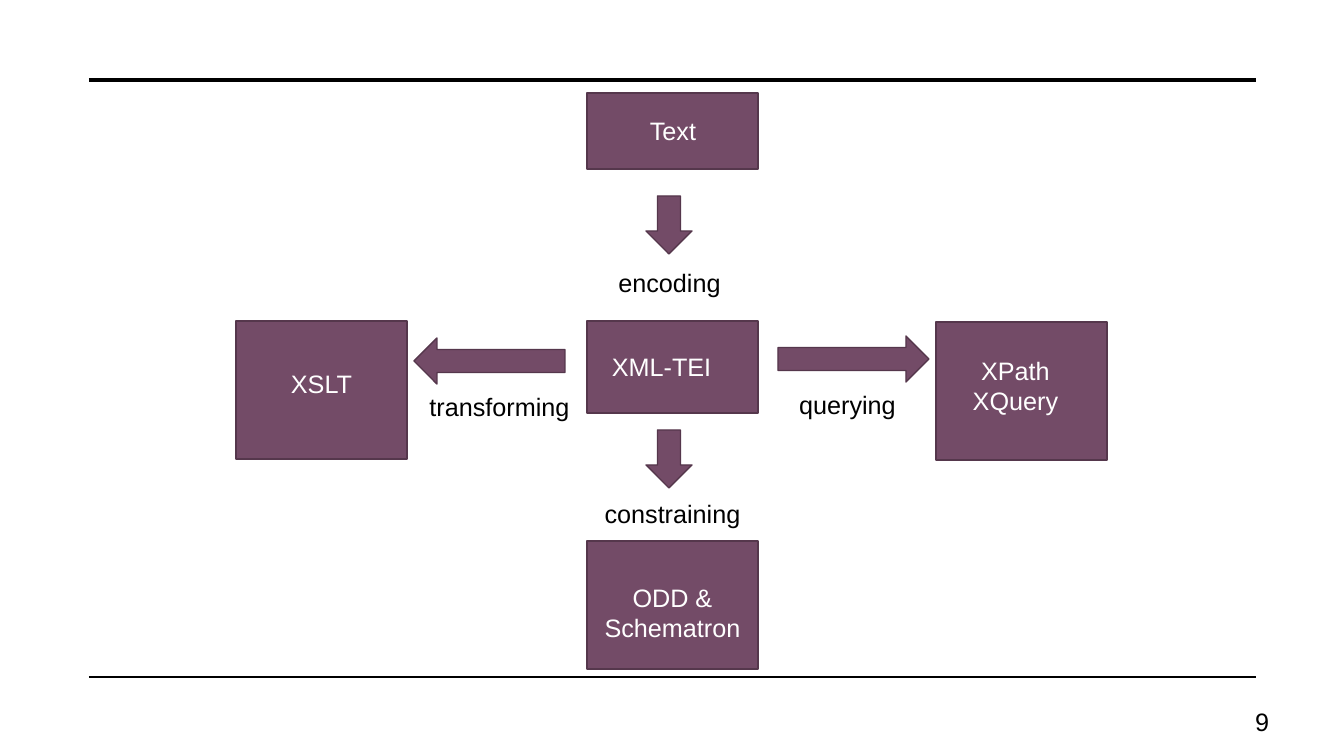
"""Build the slide that shows the XML-TEI workflow."""
from dataclasses import dataclass

from lxml.etree import SubElement
from pptx import Presentation
from pptx.dml.color import RGBColor
from pptx.enum.shapes import MSO_CONNECTOR, MSO_SHAPE
from pptx.enum.text import MSO_ANCHOR, PP_ALIGN
from pptx.oxml.ns import qn
from pptx.util import Emu, Pt

BLACK = RGBColor(0x00, 0x00, 0x00)
WHITE = RGBColor(0xFF, 0xFF, 0xFF)
PLUM = RGBColor(0x73, 0x4B, 0x67)
EDGE = RGBColor(0x55, 0x37, 0x4C)
WIDE, HIGH = 1344, 756
SCALE = 12192000 / WIDE


@dataclass(frozen=True)
class Area:
    """A place on the slide in px."""
    left: int
    top: int
    width: int
    height: int

    def emu(self) -> tuple[Emu, ...]:
        """Return the four lengths in EMU."""
        return tuple(map(px, (self.left, self.top, self.width, self.height)))


@dataclass(frozen=True)
class Label:
    """A text and its place."""
    text: str
    area: Area
    align: PP_ALIGN = PP_ALIGN.CENTER


@dataclass(frozen=True)
class Node:
    """A filled box with its label."""
    area: Area
    label: Label


@dataclass(frozen=True)
class Arrow:
    """A block arrow."""
    kind: MSO_SHAPE
    area: Area


@dataclass(frozen=True)
class Rule:
    """A line across the page."""
    top: int
    weight: float


RULES = [Rule(80, 3.5), Rule(677, 1)]
NODES = [
    Node(Area(587, 93, 171, 76), Label("Text", Area(598, 110, 150, 40))),
    Node(Area(587, 321, 171, 92),
         Label("XML-TEI", Area(602, 346, 147, 40), PP_ALIGN.LEFT)),
    Node(Area(236, 321, 171, 138), Label("XSLT", Area(255, 363, 133, 40))),
    Node(Area(936, 322, 171, 138),
         Label("XPath\vXQuery", Area(952, 350, 127, 72))),
    Node(Area(587, 541, 171, 128),
         Label("ODD & Schematron", Area(587, 577, 171, 100))),
]
ARROWS = [
    Arrow(MSO_SHAPE.DOWN_ARROW, Area(646, 196, 46, 58)),
    Arrow(MSO_SHAPE.DOWN_ARROW, Area(646, 430, 46, 58)),
    Arrow(MSO_SHAPE.LEFT_ARROW, Area(414, 338, 151, 46)),
    Arrow(MSO_SHAPE.RIGHT_ARROW, Area(778, 336, 151, 46)),
]
STEPS = [
    Label("encoding", Area(584, 262, 171, 40)),
    Label("transforming", Area(414, 386, 171, 40)),
    Label("querying", Area(765, 384, 165, 40)),
    Label("constraining", Area(587, 493, 171, 40)),
]
PAGE = Label("9", Area(1204, 701, 75, 40), PP_ALIGN.RIGHT)


def px(size: int) -> Emu:
    """Turn px into EMU."""
    return Emu(round(size * SCALE))


def draw_rule(shapes, rule: Rule) -> None:
    """Draw a line from margin to margin."""
    line = shapes.add_connector(MSO_CONNECTOR.STRAIGHT, px(89), px(rule.top),
                                px(1256), px(rule.top))
    line.line.color.rgb = BLACK
    line.line.width = Pt(rule.weight)
    SubElement(line._element.spPr, qn("a:effectLst"))


def draw_shape(shapes, kind: MSO_SHAPE, area: Area) -> None:
    """Draw a plum shape with a dark edge."""
    shape = shapes.add_shape(kind, *area.emu())
    shape.shadow.inherit = False
    shape.fill.solid()
    shape.fill.fore_color.rgb = PLUM
    shape.line.color.rgb = EDGE
    shape.line.width = Pt(1)


def draw_label(shapes, label: Label, color: RGBColor,
               anchor: MSO_ANCHOR = MSO_ANCHOR.TOP) -> None:
    """Write a label in the given color."""
    frame = shapes.add_textbox(*label.area.emu()).text_frame
    frame.word_wrap = True
    frame.vertical_anchor = anchor
    frame.text = label.text
    para = frame.paragraphs[0]
    para.alignment = label.align
    for run in para.runs:
        run.font.name = "Arial"
        run.font.size = Pt(18)
        run.font.color.rgb = color


def draw_node(shapes, node: Node) -> None:
    """Draw a box and its label as a group."""
    group = shapes.add_group_shape()
    draw_shape(group.shapes, MSO_SHAPE.RECTANGLE, node.area)
    draw_label(group.shapes, node.label, WHITE)


def main() -> None:
    """Build and save the deck."""
    deck = Presentation()
    deck.slide_width, deck.slide_height = px(WIDE), px(HIGH)
    shapes = deck.slides.add_slide(deck.slide_layouts[6]).shapes
    for rule in RULES:
        draw_rule(shapes, rule)
    for node in NODES:
        draw_node(shapes, node)
    for arrow in ARROWS:
        draw_shape(shapes, arrow.kind, arrow.area)
    for step in STEPS:
        draw_label(shapes, step, BLACK)
    draw_label(shapes, PAGE, BLACK, MSO_ANCHOR.MIDDLE)
    deck.save("out.pptx")


if __name__ == "__main__":
    main()
